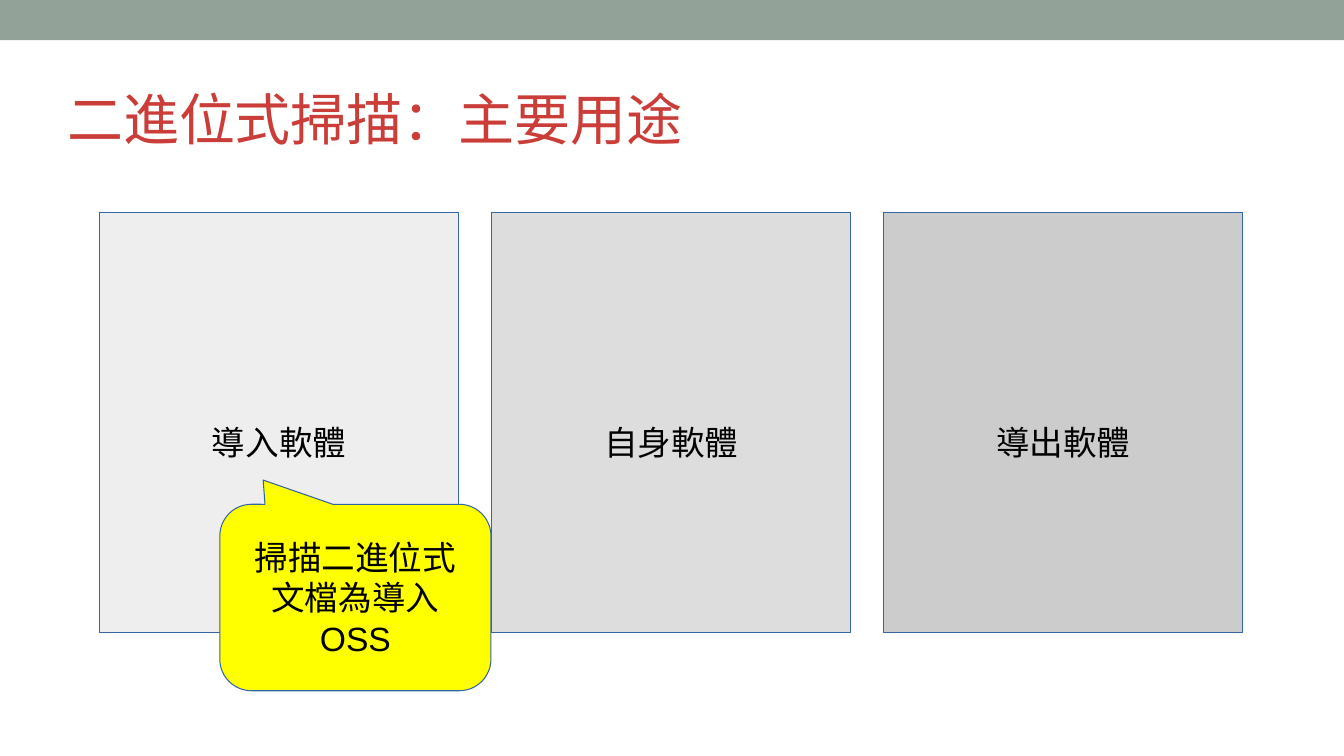
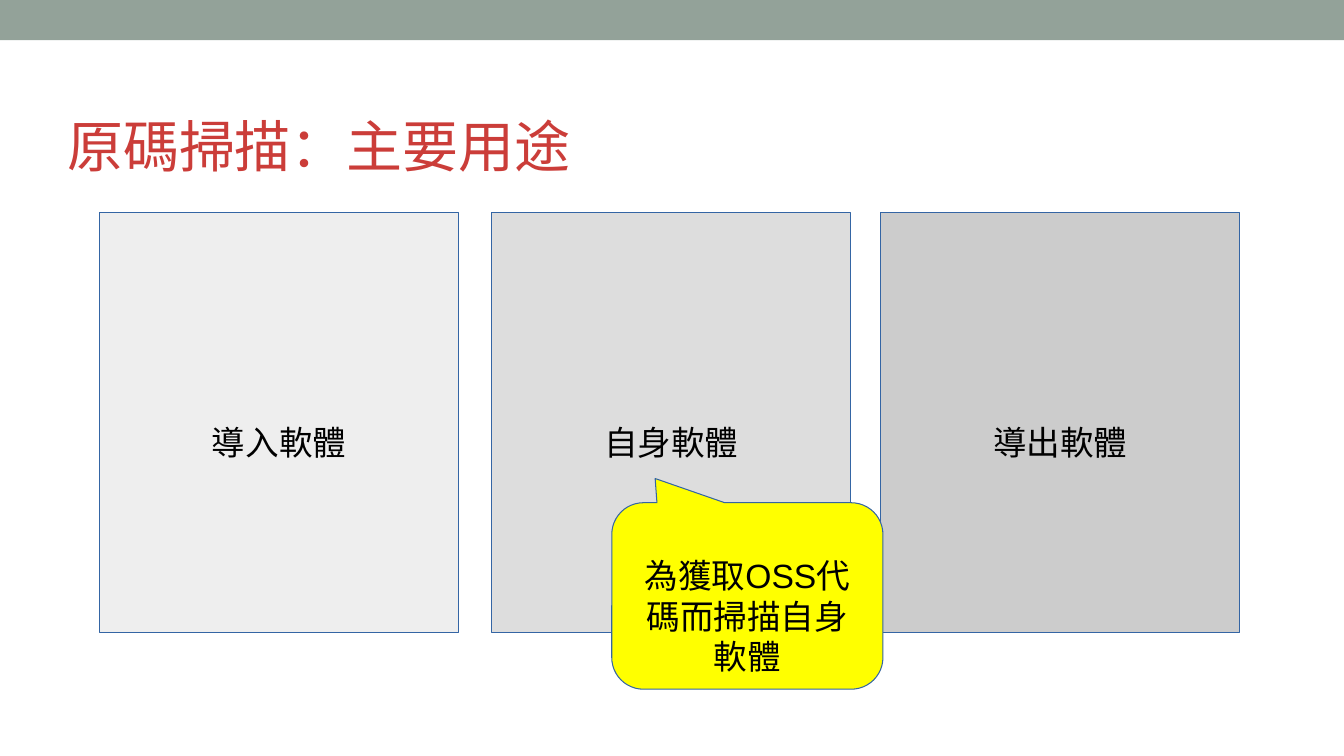
import pptx
import pptx.util
import pptx.dml.color
import pptx.enum.shapes
import pptx.enum.text

Pt = pptx.util.Pt
KIND = pptx.enum.shapes.MSO_SHAPE
ALIGN = pptx.enum.text.PP_ALIGN
ANCHOR = pptx.enum.text.MSO_ANCHOR

# Shared look
WIDE, HIGH = 960, 540
BAND, EDGE, NOTE = "93A299", "3465A4", "FFFF00"
HEAD = {"size": Pt(40), "name": "Open Sans", "color": "CB3D39"}
BODY = {"size": Pt(24), "name": "Arial", "color": "000000"}
GREYS = ["EEEEEE", "DDDDDD", "CCCCCC"]
STAGES = ["導入軟體", "自身軟體", "導出軟體"]
LEFT, TOP, STEP = 71.3, 151.9, 280
BOX_W, BOX_H = 256.3, 300.2
LINE = 28  # drop of one text line


def color(code):
    return pptx.dml.color.RGBColor.from_string(code)


def write(shape, text, font, align, anchor, pads):
    frame = shape.text_frame
    look = {"word_wrap": True, "vertical_anchor": anchor}
    sides = ("margin_left", "margin_top", "margin_right", "margin_bottom")
    look.update(zip(sides, map(Pt, pads)))
    for key, value in look.items():
        setattr(frame, key, value)
    para = frame.paragraphs[0]
    para.alignment = align
    run = para.add_run()
    run.text = text
    for key, value in font.items():
        if key == "color":
            run.font.color.rgb = color(value)
        else:
            setattr(run.font, key, value)


def panel(slide, kind, box, fill, edge=None):
    shape = slide.shapes.add_shape(kind, *map(Pt, box))
    shape.shadow.inherit = False
    shape.fill.solid()
    shape.fill.fore_color.rgb = color(fill)
    if edge:
        shape.line.color.rgb = color(edge)
        shape.line.width = Pt(0.75)
    else:
        shape.line.fill.background()
    return shape


def label(shape, text, drop=0):
    pads = (7.2, 3.6 + drop, 7.2, 3.6)
    write(shape, text, BODY, ALIGN.CENTER, ANCHOR.MIDDLE, pads)


# Top band and title
def header(slide, text, top):
    panel(slide, KIND.RECTANGLE, (0, 0, WIDE, 28.8), BAND)
    title = slide.shapes.add_textbox(*map(Pt, (48, top, 864, 82.8)))
    write(title, text, HEAD, ALIGN.LEFT, ANCHOR.BOTTOM, (0, 0, 0, 0))


# One software stage
def stage(slide, box, text, fill):
    label(panel(slide, KIND.RECTANGLE, box, fill, EDGE), text, LINE)


# Callout hung from a stage box
def callout(slide, box, text, down, drop):
    left, top = box[:2]
    place = (left + 85.7, top + down, 193.7, 133.2)
    shape = panel(slide, KIND.ROUNDED_RECTANGULAR_CALLOUT, place, NOTE, EDGE)
    for i, value in enumerate((-0.34, -0.63, 0.17)):
        shape.adjustments[i] = value
    label(shape, text, drop)


def page(deck, title, top, shift, pick, note, down, drop):
    slide = deck.slides.add_slide(deck.slide_layouts[6])
    header(slide, title, top)
    boxes = [(LEFT + i * STEP, TOP, BOX_W, BOX_H) for i in range(3)]
    boxes[2] = (boxes[2][0] + shift, *boxes[2][1:])
    for box, text, fill in zip(boxes, STAGES, GREYS):
        stage(slide, box, text, fill)
    callout(slide, boxes[pick], note, down, drop)


def main():
    deck = pptx.Presentation()
    deck.slide_width, deck.slide_height = Pt(WIDE), Pt(HIGH)
    page(deck, "二進位式掃描：主要用途", 25.2, 0, 0,
         "掃描二進位式文檔為導入OSS", 208.3, 0)
    page(deck, "原碼掃描：主要用途", 44.8, -2, 1,
         "為獲取OSS代碼而掃描自身軟體", 207.2, LINE)
    deck.save("out.pptx")


if __name__ == "__main__":
    main()
